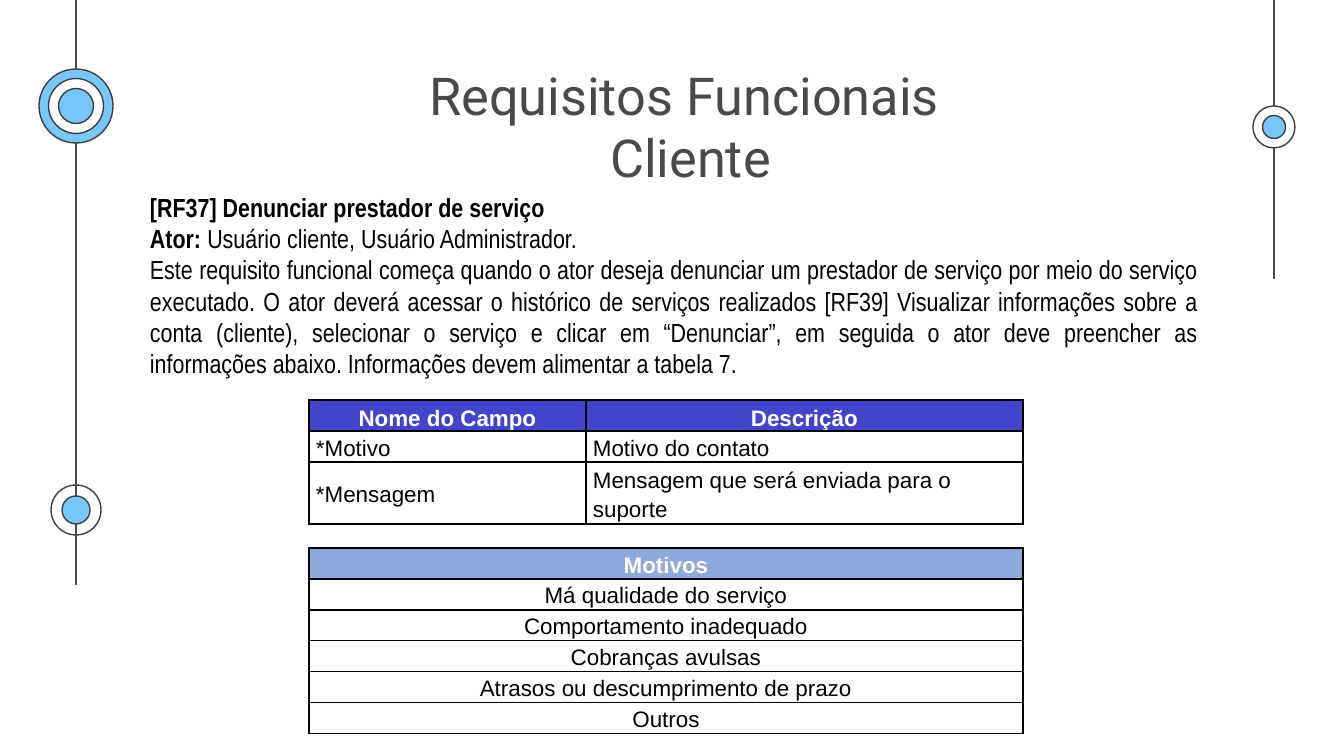
from dataclasses import dataclass

from lxml.etree import SubElement
from pptx import Presentation
from pptx.dml.color import RGBColor
from pptx.enum.shapes import MSO_CONNECTOR, MSO_SHAPE
from pptx.enum.text import MSO_ANCHOR, PP_ALIGN
from pptx.oxml import parse_xml
from pptx.oxml.ns import nsdecls, qn
from pptx.util import Emu, Pt

EMU_PER_PX = 914400 / 134.4
COLORS = {
    "white": "FFFFFF",
    "black": "000000",
    "title": "494949",
    "outline": "3D3D3D",
    "sky": "77C6FC",
    "indigo": "4245CA",
    "steel": "8EA9DB",
}


@dataclass
class Box:
    left: int
    top: int
    width: int
    height: int


@dataclass
class Ring:
    diameter: int
    fill: str | None


@dataclass
class Node:
    x: int
    y: int
    rings: list[Ring]


@dataclass
class Rail:
    x: int
    bottom: int


@dataclass
class Row:
    texts: list[str]
    height: int = 31
    fill: str | None = None
    align: PP_ALIGN = PP_ALIGN.LEFT
    anchor: MSO_ANCHOR = MSO_ANCHOR.MIDDLE


RAILS = [Rail(76, 585), Rail(1274, 279)]
NODES = [
    Node(76, 510, [Ring(50, None), Ring(28, "sky")]),
    Node(1274, 127, [Ring(42, "white"), Ring(23, "sky")]),
    Node(76, 106, [Ring(74, "sky"), Ring(55, "white"), Ring(35, "sky")]),
]
REASONS = [
    "Má qualidade do serviço",
    "Comportamento inadequado",
    "Cobranças avulsas",
    "Atrasos ou descumprimento de prazo",
    "Outros",
]
ROWS = [
    Row(["Nome do Campo", "Descrição"], fill="indigo", align=PP_ALIGN.CENTER, anchor=MSO_ANCHOR.BOTTOM),
    Row(["*Motivo", "Motivo do contato"]),
    Row(["*Mensagem", "Mensagem que será enviada para o suporte"], height=62),
    Row([], height=24),
    Row(["Motivos"], fill="steel", align=PP_ALIGN.CENTER),
    *[Row([reason], align=PP_ALIGN.CENTER) for reason in REASONS],
]
COLUMN_WIDTHS = [277, 437]
REQUIREMENT = [
    [("[RF37] Denunciar prestador de serviço", True)],
    [("Ator: ", True), ("Usuário cliente, Usuário Administrador.", False)],
    [(
        "Este requisito funcional começa quando o ator deseja denunciar um prestador de serviço "
        "por meio do serviço executado. O ator deverá acessar o histórico de serviços realizados "
        "[RF39] Visualizar informações sobre a conta (cliente), selecionar o serviço e clicar em "
        "“Denunciar”, em seguida o ator deve preencher as informações abaixo. Informações devem "
        "alimentar a tabela 7.",
        False,
    )],
]


def px(length: float) -> Emu:
    return Emu(round(length * EMU_PER_PX))


def rgb(color: str) -> RGBColor:
    return RGBColor.from_string(COLORS[color])


def set_font(paragraph, name: str, size: int, color: str) -> None:
    paragraph.font.name = name
    paragraph.font.size = Pt(size)
    paragraph.font.color.rgb = rgb(color)


def draw_rail(slide, rail: Rail) -> None:
    line = slide.shapes.add_connector(MSO_CONNECTOR.STRAIGHT, px(rail.x), 0, px(rail.x), px(rail.bottom))
    line.line.color.rgb = rgb("title")
    line.line.width = Pt(0.75)
    SubElement(line._element.spPr, qn("a:effectLst"))


def draw_node(slide, node: Node) -> None:
    for ring in node.rings:
        size = px(ring.diameter)
        radius = ring.diameter / 2
        circle = slide.shapes.add_shape(MSO_SHAPE.OVAL, px(node.x - radius), px(node.y - radius), size, size)
        circle.shadow.inherit = False
        circle.line.color.rgb = rgb("outline")
        circle.line.width = Pt(0.75)
        if ring.fill:
            circle.fill.solid()
            circle.fill.fore_color.rgb = rgb(ring.fill)
        else:
            circle.fill.background()


def add_text_frame(slide, box: Box, inset_x: int, inset_y: int):
    frame = slide.shapes.add_textbox(px(box.left), px(box.top), px(box.width), px(box.height)).text_frame
    frame.word_wrap = True
    frame.margin_left = frame.margin_right = px(inset_x)
    frame.margin_top = frame.margin_bottom = px(inset_y)
    return frame


def draw_title(slide, box: Box) -> None:
    title = add_text_frame(slide, box, 13, 13).paragraphs[0]
    title.text = "Requisitos Funcionais \vCliente"
    title.alignment = PP_ALIGN.CENTER
    set_font(title, "Roboto", 28, "title")


def draw_requirement(slide, box: Box) -> None:
    frame = add_text_frame(slide, box, 13, 7)
    for index, pieces in enumerate(REQUIREMENT):
        paragraph = frame.add_paragraph() if index else frame.paragraphs[0]
        paragraph.alignment = PP_ALIGN.JUSTIFY
        set_font(paragraph, "Arial Narrow", 14, "black")
        for text, bold in pieces:
            run = paragraph.add_run()
            run.text = text
            run.font.bold = bold


def set_borders(cell, visible: str) -> None:
    properties = cell._tc.get_or_add_tcPr()
    for index, side in enumerate("LRTB"):
        paint = f'<a:solidFill><a:srgbClr val="{COLORS["black"]}"/></a:solidFill>' if side in visible else "<a:noFill/>"
        border = parse_xml(f'<a:ln{side} {nsdecls("a")} w="{Pt(1)}">{paint}</a:ln{side}>')
        properties.insert(index, border)


def fill_cell(cell, row: Row, text: str) -> None:
    cell.margin_left = cell.margin_right = px(7)
    cell.margin_top = cell.margin_bottom = 0
    cell.vertical_anchor = row.anchor
    if row.fill:
        cell.fill.solid()
        cell.fill.fore_color.rgb = rgb(row.fill)
    else:
        cell.fill.background()
    set_borders(cell, "LRTB" if row.texts else "TB")
    paragraph = cell.text_frame.paragraphs[0]
    if text:
        paragraph.text = text
        paragraph.alignment = row.align
        paragraph.line_spacing = 1.15
        set_font(paragraph, "Arial", 12, "white" if row.fill else "black")
        paragraph.font.bold = bool(row.fill)
    else:
        paragraph._p.get_or_add_endParaRPr().set("sz", "100")


def draw_fields(slide, left: int, top: int) -> None:
    width, height = sum(COLUMN_WIDTHS), sum(row.height for row in ROWS)
    fields = slide.shapes.add_table(
        len(ROWS), len(COLUMN_WIDTHS), px(left), px(top), px(width), px(height)
    ).table
    fields.first_row = fields.horz_banding = False
    for column, column_width in zip(fields.columns, COLUMN_WIDTHS):
        column.width = px(column_width)
    for index, row in enumerate(ROWS):
        fields.rows[index].height = px(row.height)
        for position in range(len(COLUMN_WIDTHS)):
            text = row.texts[position] if position < len(row.texts) else ""
            fill_cell(fields.cell(index, position), row, text)
        if len(row.texts) == 1:
            fields.cell(index, 0).merge(fields.cell(index, len(COLUMN_WIDTHS) - 1))


def main() -> None:
    presentation = Presentation()
    presentation.slide_width, presentation.slide_height = px(1344), px(756)
    slide = presentation.slides.add_slide(presentation.slide_layouts[6])
    for rail in RAILS:
        draw_rail(slide, rail)
    for node in NODES:
        draw_node(slide, node)
    draw_title(slide, Box(411, 50, 559, 85))
    draw_requirement(slide, Box(137, 184, 1075, 235))
    draw_fields(slide, 309, 400)
    presentation.save("out.pptx")


if __name__ == "__main__":
    main()
